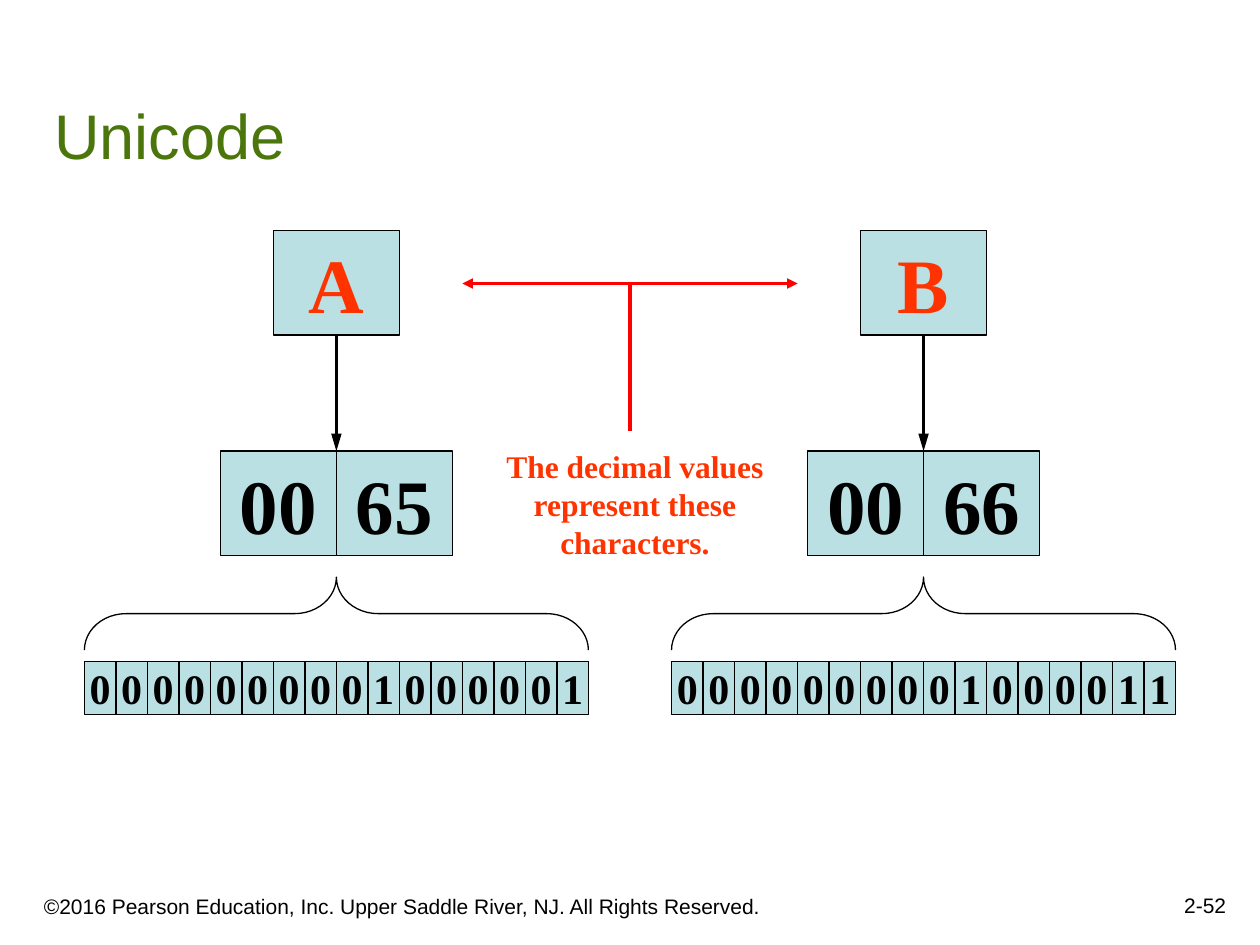
from dataclasses import dataclass

from pptx import Presentation
from pptx.dml.color import RGBColor
from pptx.enum.shapes import MSO_CONNECTOR, MSO_SHAPE
from pptx.enum.text import MSO_ANCHOR, PP_ALIGN
from pptx.oxml.ns import qn
from pptx.util import Inches, Pt

STRAIGHT = MSO_CONNECTOR.STRAIGHT
RECTANGLE = MSO_SHAPE.RECTANGLE
RIGHT_BRACE = MSO_SHAPE.RIGHT_BRACE
TOP, MIDDLE, BOTTOM = MSO_ANCHOR.TOP, MSO_ANCHOR.MIDDLE, MSO_ANCHOR.BOTTOM
LEFT, CENTER, RIGHT = PP_ALIGN.LEFT, PP_ALIGN.CENTER, PP_ALIGN.RIGHT


@dataclass(frozen=True)
class Theme:
    black: str = "000000"
    title: str = "4B760B"
    accent: str = "FF3300"
    arrow: str = "FF0000"
    cell: str = "BBE0E3"
    sans: str = "Arial"
    serif: str = "Times New Roman"
    title_size: float = 36
    letter_size: float = 44
    bit_size: float = 24
    note_size: float = 18
    footer_size: float = 12
    outline: float = 0.75
    arrow_width: float = 1.5
    callout_width: float = 2


@dataclass(frozen=True)
class Encoding:
    letter: str
    code_bytes: tuple[str, ...]
    bits: str
    center: float


@dataclass(frozen=True)
class Box:
    left: float
    top: float
    width: float
    height: float

    def lengths(self):
        return (Inches(self.left), Inches(self.top),
                Inches(self.width), Inches(self.height))


THEME = Theme()
ENCODINGS = (
    Encoding("A", ("00", "65"), "0000000001000001", 2.67),
    Encoding("B", ("00", "66"), "0000000001000011", 7.33),
)
LETTER_TOP, LETTER_WIDTH, CELL_HEIGHT = 1.83, 1, 0.83
BYTE_TOP, BYTE_WIDTH = 3.58, 0.92
BIT_TOP, BIT_WIDTH, BIT_HEIGHT = 5.25, 0.25, 0.42
BRACE_MIDDLE, BRACE_DEPTH, BRACE_CURVE = 4.87, 0.58, 0.57
CALLOUT_CENTER, CALLOUT_TOP, CALLOUT_REACH = 5, 2.25, 1.33


def write_text(shape, *lines: str, size: float, color: str = THEME.black,
               font: str = THEME.serif, bold: bool = False,
               align=CENTER, anchor=MIDDLE, wrap: bool = False) -> None:
    frame = shape.text_frame
    frame.word_wrap = wrap
    frame.vertical_anchor = anchor
    frame.text = "\n".join(lines)
    for paragraph in frame.paragraphs:
        paragraph.alignment = align
        paragraph.font.size = Pt(size)
        paragraph.font.name = font
        paragraph.font.bold = bold
        paragraph.font.color.rgb = RGBColor.from_string(color)


def add_text_box(slide, box: Box, *lines: str, **text_format) -> None:
    write_text(slide.shapes.add_textbox(*box.lengths()), *lines, **text_format)


def set_outline(shape, color: str, width: float) -> None:
    shape.line.color.rgb = RGBColor.from_string(color)
    shape.line.width = Pt(width)


def add_cell(slide, box: Box, text: str, size: float, color: str = THEME.black):
    cell = slide.shapes.add_shape(RECTANGLE, *box.lengths())
    cell.shadow.inherit = False
    cell.fill.solid()
    cell.fill.fore_color.rgb = RGBColor.from_string(THEME.cell)
    set_outline(cell, THEME.black, THEME.outline)
    write_text(cell, text, size=size, color=color, bold=True)
    return cell


def add_cell_row(slide, values, center: float, top: float,
                 width: float, height: float, size: float) -> None:
    left = center - len(values) * width / 2
    for index, value in enumerate(values):
        add_cell(slide, Box(left + index * width, top, width, height), value, size)


def add_line(slide, start: tuple[float, float], end: tuple[float, float],
             color: str, width: float, heads: tuple[str, ...] = (),
             head_length: str = "med"):
    line = slide.shapes.add_connector(
        STRAIGHT, *(Inches(value) for value in start + end))
    set_outline(line, color, width)
    properties = line._element.spPr
    outline = line.line._get_or_add_ln()
    for head in heads:
        arrowhead = outline.makeelement(
            qn(f"a:{head}"), {"type": "triangle", "w": "med", "len": head_length})
        outline.append(arrowhead)
    properties.append(properties.makeelement(qn("a:effectLst"), {}))
    return line


def add_brace(slide, center: float, span: float) -> None:
    box = Box(center - BRACE_DEPTH / 2, BRACE_MIDDLE - span / 2, BRACE_DEPTH, span)
    brace = slide.shapes.add_shape(RIGHT_BRACE, *box.lengths())
    brace.rotation = 270
    brace.adjustments[0] = BRACE_CURVE
    brace.shadow.inherit = False
    brace.fill.background()
    set_outline(brace, THEME.black, THEME.outline)


def add_encoding(slide, encoding: Encoding) -> None:
    center = encoding.center
    letter = add_cell(
        slide, Box(center - LETTER_WIDTH / 2, LETTER_TOP, LETTER_WIDTH, CELL_HEIGHT),
        encoding.letter, THEME.letter_size, THEME.accent)
    add_cell_row(slide, encoding.code_bytes, center, BYTE_TOP,
                 BYTE_WIDTH, CELL_HEIGHT, THEME.letter_size)
    arrow = add_line(slide, (center, LETTER_TOP + CELL_HEIGHT), (center, BYTE_TOP),
                     THEME.black, THEME.arrow_width, ("tailEnd",), "lg")
    arrow.begin_connect(letter, 2)
    add_cell_row(slide, encoding.bits, center, BIT_TOP,
                 BIT_WIDTH, BIT_HEIGHT, THEME.bit_size)
    add_brace(slide, center, len(encoding.bits) * BIT_WIDTH)


def add_callout(slide) -> None:
    add_text_box(slide, Box(3.92, 3.5, 2.24, 1),
                 "The decimal values", "represent these", "characters.",
                 size=THEME.note_size, color=THEME.accent, bold=True, anchor=TOP)
    add_line(slide, (CALLOUT_CENTER, CALLOUT_TOP), (CALLOUT_CENTER, 3.42),
             THEME.arrow, THEME.callout_width)
    add_line(slide, (CALLOUT_CENTER - CALLOUT_REACH, CALLOUT_TOP),
             (CALLOUT_CENTER + CALLOUT_REACH, CALLOUT_TOP),
             THEME.arrow, THEME.callout_width, ("headEnd", "tailEnd"))


def main() -> None:
    presentation = Presentation()
    presentation.slide_width, presentation.slide_height = Inches(10), Inches(7.5)
    slide = presentation.slides.add_slide(presentation.slide_layouts[5])
    title = slide.shapes.title
    title.left, title.top, title.width, title.height = Box(
        0.33, 0.33, 9.42, 1.09).lengths()
    write_text(title, "Unicode", size=THEME.title_size, color=THEME.title,
               font=THEME.sans, align=LEFT, anchor=BOTTOM, wrap=True)
    add_text_box(
        slide, Box(0.25, 6.92, 6.08, 0.42),
        "©2016 Pearson Education, Inc. Upper Saddle River, NJ. All Rights Reserved.",
        size=THEME.footer_size, font=THEME.sans, align=LEFT, anchor=BOTTOM, wrap=True)
    add_text_box(slide, Box(7.75, 6.83, 2.08, 0.5), "2-52",
                 size=THEME.footer_size, font=THEME.sans,
                 align=RIGHT, anchor=BOTTOM, wrap=True)
    for encoding in ENCODINGS:
        add_encoding(slide, encoding)
    add_callout(slide)
    presentation.save("out.pptx")


if __name__ == "__main__":
    main()
